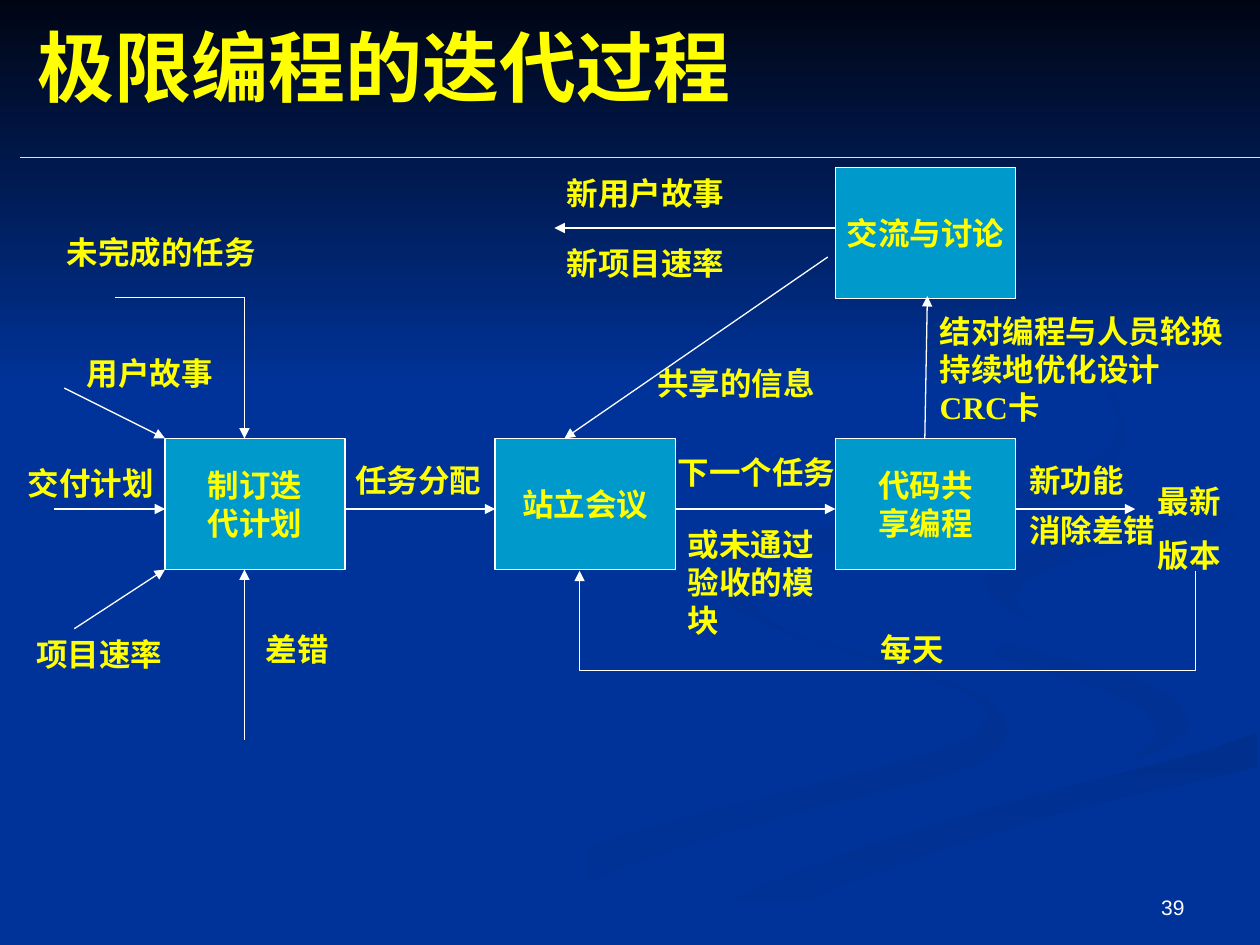
from lxml import etree
from pptx import Presentation, util as u
from pptx.dml.color import RGBColor
from pptx.enum import shapes, text
from pptx.oxml.ns import qn

COLORS = {"background": "003399", "night": "000514", "shade": "002F8E", "soft": "003193",
          "box": "0099CC", "white": "FFFFFF", "yellow": "FFFF00"}
WIDTH, HEIGHT = 10, 7.5
TITLE = "极限编程的迭代过程"
PAGE_NUMBER = "39"

# Grid of the flow chart
PLAN, MEETING, CODING = COLUMNS = 1.31, 3.93, 6.63
TOP, MAIN = 1.33, 3.48
BOX_WIDTH, BOX_HEIGHT = 1.43, 1.04
BOTTOM = MAIN + BOX_HEIGHT
FLOW = 4.04                      # height of the horizontal arrows
PLAN_AXIS = 1.94                 # vertical arrows into the plan box

BOXES = [(PLAN, MAIN, ["制订迭", "代计划"]), (MEETING, MAIN, ["站立会议"]),
         (CODING, MAIN, ["代码共", "享编程"]), (CODING, TOP, ["交流与讨论"])]

ARROWS = [  # start, end
    ((PLAN + BOX_WIDTH, FLOW), (MEETING, FLOW)),
    ((MEETING + BOX_WIDTH, FLOW), (CODING, FLOW)),
    ((CODING + BOX_WIDTH, FLOW), (9.01, FLOW)),
    ((PLAN_AXIS, 5.87), (PLAN_AXIS, BOTTOM)),
    ((0.51, 3.08), (PLAN, MAIN)),
    ((0.43, FLOW), (PLAN, FLOW)),
    ((0.59, 4.99), (PLAN, BOTTOM)),
    ((PLAN_AXIS, 2.36), (PLAN_AXIS, MAIN)),
    ((6.57, 2.04), (4.48, MAIN)),
    ((CODING, 1.81), (4.4, 1.81)),
    ((7.34, MAIN), (7.36, 2.35)),
]
UNFINISHED_LINE = ((0.91, 2.36), (PLAN_AXIS, 2.36))
DAILY_LOOP = [(9.49, 4.53), (9.49, 5.32), (4.6, 5.32), (4.6, 4.53)]

LABELS = [  # left, top, width, height, paragraphs, space between them
    (0.43, 1.8, 2.14, 0.4, ["未完成的任务"], 0),
    (0.59, 2.76, 2.14, 0.4, ["用户故事"], 0),
    (0.12, 3.63, 1.35, 0.4, ["交付计划"], 0),
    (0.19, 4.99, 2.14, 0.4, ["项目速率"], 0),
    (2.72, 3.61, 1.32, 0.4, ["任务分配"], 0),
    (5.28, 3.55, 1.67, 0.4, ["下一个任务"], 0),
    (5.36, 4.12, 1.27, 1, ["或未通过验收的模块"], 0),
    (2.01, 4.95, 0.76, 0.4, ["差错"], 0),
    (5.12, 2.84, 2.14, 0.4, ["共享的信息"], 0),
    (4.4, 1.33, 2.14, 0.4, ["新用户故事"], 0),
    (4.4, 1.89, 2.14, 0.4, ["新项目速率"], 0),
    (8.07, 3.61, 1.04, 0.4, ["新功能"], 0),
    (9.09, 3.78, 0.8, 0.85, ["最新", "版本"], 9),
    (7.36, 2.43, 2.48, 1.01, ["结对编程与人员轮换", "持续地优化设计", "CRC卡"], 0),
    (8.07, 4.01, 1.26, 0.4, ["消除差错"], 0),
    (6.89, 4.95, 0.76, 0.4, ["每天"], 0),
]

RIBBONS = [  # first colour, last colour, clockwise angle, outline
    ("background", "soft", 0, [
        (7.81, 5.53), (7.57, 5.43), (7.15, 5.28), (6.42, 5.07), (6.02, 4.9), (5.83, 4.77),
        (5.75, 4.59), (5.7, 4.72), (5.86, 4.87), (6.11, 4.99), (6.79, 5.19), (7.28, 5.35),
        (7.7, 5.51), (7.86, 5.66), (7.74, 5.83), (7.39, 5.98), (6.84, 6.13), (5.79, 6.39),
        (4.99, 6.61), (4.17, 6.9), (3.38, 7.27), (3, 7.49), (3.61, 7.49), (4.31, 7.14),
        (4.99, 6.87), (5.64, 6.65), (6.51, 6.4), (7.4, 6.18), (7.8, 6.05), (7.95, 5.92),
        (8, 5.81), (7.95, 5.67)]),
    ("background", "soft", 45, [
        (9.43, 5.7), (9.3, 5.53), (9.05, 5.4), (8.5, 5.24), (7.92, 5.09), (7.58, 4.98),
        (7.33, 4.83), (7.24, 4.64), (7.27, 4.79), (7.46, 5), (7.81, 5.18), (8.38, 5.36),
        (8.8, 5.49), (9.07, 5.62), (9.18, 5.81), (9.11, 5.93), (8.94, 6.05), (9.25, 5.93),
        (9.41, 5.81)]),
    ("shade", "background", 90, [
        (5.03, 7.49), (5.71, 7.49), (6.14, 7.26), (6.7, 7.02), (7.52, 6.72), (8.61, 6.4),
        (9.98, 6.09), (9.98, 5.81), (9.63, 5.94), (9.03, 6.1), (7.97, 6.38), (6.96, 6.69),
        (6.3, 6.93), (5.69, 7.19), (5.19, 7.47)]),
    ("soft", "background", 45, [
        (7.81, 4.6), (7.86, 4.74), (8.06, 4.87), (8.26, 4.96), (8.09, 4.84), (8.05, 4.72),
        (8.16, 4.59), (8.43, 4.48), (8.96, 4.35), (9.98, 4.2), (9.98, 4.02), (9.33, 4.15),
        (8.65, 4.24), (8.21, 4.34), (7.91, 4.47)]),
    ("shade", "background", 45, [
        (6.83, 4.3), (7.39, 4.21), (8.07, 4.07), (8.55, 3.91), (8.83, 3.7), (8.94, 3.44),
        (8.86, 3.16), (8.64, 2.91), (8.21, 2.61), (7.62, 2.33), (8.05, 2.54), (8.46, 2.79),
        (8.76, 3.06), (8.89, 3.35), (8.82, 3.54), (8.61, 3.7), (8.3, 3.82), (7.63, 3.98),
        (6.76, 4.14), (6.15, 4.29), (5.84, 4.46), (5.77, 4.62), (5.9, 4.84), (6.22, 5),
        (6.01, 4.85), (5.93, 4.7), (6.01, 4.56), (6.24, 4.44)]),
    ("night", "background", 90, [(0, 0), (0, 3.08), (WIDTH, 3.08), (WIDTH, 0)]),
]

LABEL_FONT = {"name": "Times New Roman", "size": u.Pt(18), "bold": True}
TITLE_FONT = {**LABEL_FONT, "size": u.Pt(44)}
NUMBER_FONT = {"name": "Arial", "size": u.Pt(12), "bold": False}


def rgb(name):
    return RGBColor.from_string(COLORS[name])


def inches(*values):
    return [u.Inches(value) for value in values]


def write(shape, paragraphs, font=LABEL_FONT, color="yellow", align=text.PP_ALIGN.LEFT,
          anchor=text.MSO_ANCHOR.TOP, wrap=True, gap=0):
    frame = shape.text_frame
    frame.word_wrap, frame.vertical_anchor = wrap, anchor
    frame.text = "\n".join(paragraphs)
    for index, paragraph in enumerate(frame.paragraphs):
        paragraph.alignment = align
        paragraph.space_before = u.Pt(gap if index else 0)
        for key, value in font.items():
            setattr(paragraph.font, key, value)
        paragraph.font.color.rgb = rgb(color)


def outline(shape, color="white", arrow=False):
    shape.line.color.rgb = rgb(color)
    shape.line.width = u.Pt(0.75)
    if arrow:
        etree.SubElement(shape.line._get_or_add_ln(), qn("a:tailEnd"), type="triangle")


def add_line(slide, start, end, color="white", arrow=False):
    line = slide.shapes.add_connector(shapes.MSO_CONNECTOR.STRAIGHT, *inches(*start, *end))
    outline(line, color, arrow)
    etree.SubElement(line._element.spPr, qn("a:effectLst"))


def add_path(slide, points, close):
    corners = [inches(*point) for point in points]
    builder = slide.shapes.build_freeform(*corners[0])
    builder.add_line_segments(corners[1:], close=close)
    path = builder.convert_to_shape()
    path.shadow.inherit = False
    return path


def add_background(slide):
    slide.background.fill.solid()
    slide.background.fill.fore_color.rgb = rgb("background")
    for first, last, angle, points in RIBBONS:
        ribbon = add_path(slide, points, close=True)
        ribbon.line.fill.background()
        ribbon.fill.gradient()
        ribbon.fill.gradient_angle = -angle % 360
        for stop, color in zip(ribbon.fill.gradient_stops, (first, last)):
            stop.color.rgb = rgb(color)


def add_heading(slide):
    title = slide.shapes.title
    title.left, title.top, title.width, title.height = inches(0.2, 0.14, 9.53, 0.77)
    write(title, [TITLE], TITLE_FONT, anchor=text.MSO_ANCHOR.MIDDLE)
    slide.shapes._spTree.append(title._element)  # in front of the background
    add_line(slide, (0.16, 1.25), (WIDTH, 1.25), "yellow")
    number = slide.shapes.add_textbox(*inches(7.17, 6.83, 2.33, 0.52))
    write(number, [PAGE_NUMBER], NUMBER_FONT, "white", text.PP_ALIGN.RIGHT,
          text.MSO_ANCHOR.BOTTOM)


def add_flow(slide):
    for left, top, paragraphs in BOXES:
        box = slide.shapes.add_shape(shapes.MSO_SHAPE.RECTANGLE,
                                     *inches(left, top, BOX_WIDTH, BOX_HEIGHT))
        box.shadow.inherit = False
        box.fill.solid()
        box.fill.fore_color.rgb = rgb("box")
        outline(box)
        write(box, paragraphs, align=text.PP_ALIGN.CENTER,
              anchor=text.MSO_ANCHOR.MIDDLE, wrap=False)
    for start, end in ARROWS:
        add_line(slide, start, end, arrow=True)
    add_line(slide, *UNFINISHED_LINE)
    for *place, paragraphs, gap in LABELS:
        write(slide.shapes.add_textbox(*inches(*place)), paragraphs, gap=gap)
    loop = add_path(slide, DAILY_LOOP, close=False)
    loop.fill.background()
    outline(loop, arrow=True)


def main():
    presentation = Presentation()
    presentation.slide_width, presentation.slide_height = inches(WIDTH, HEIGHT)
    slide = presentation.slides.add_slide(presentation.slide_layouts[5])
    add_background(slide)
    add_heading(slide)
    add_flow(slide)
    presentation.save("out.pptx")


if __name__ == "__main__":
    main()
